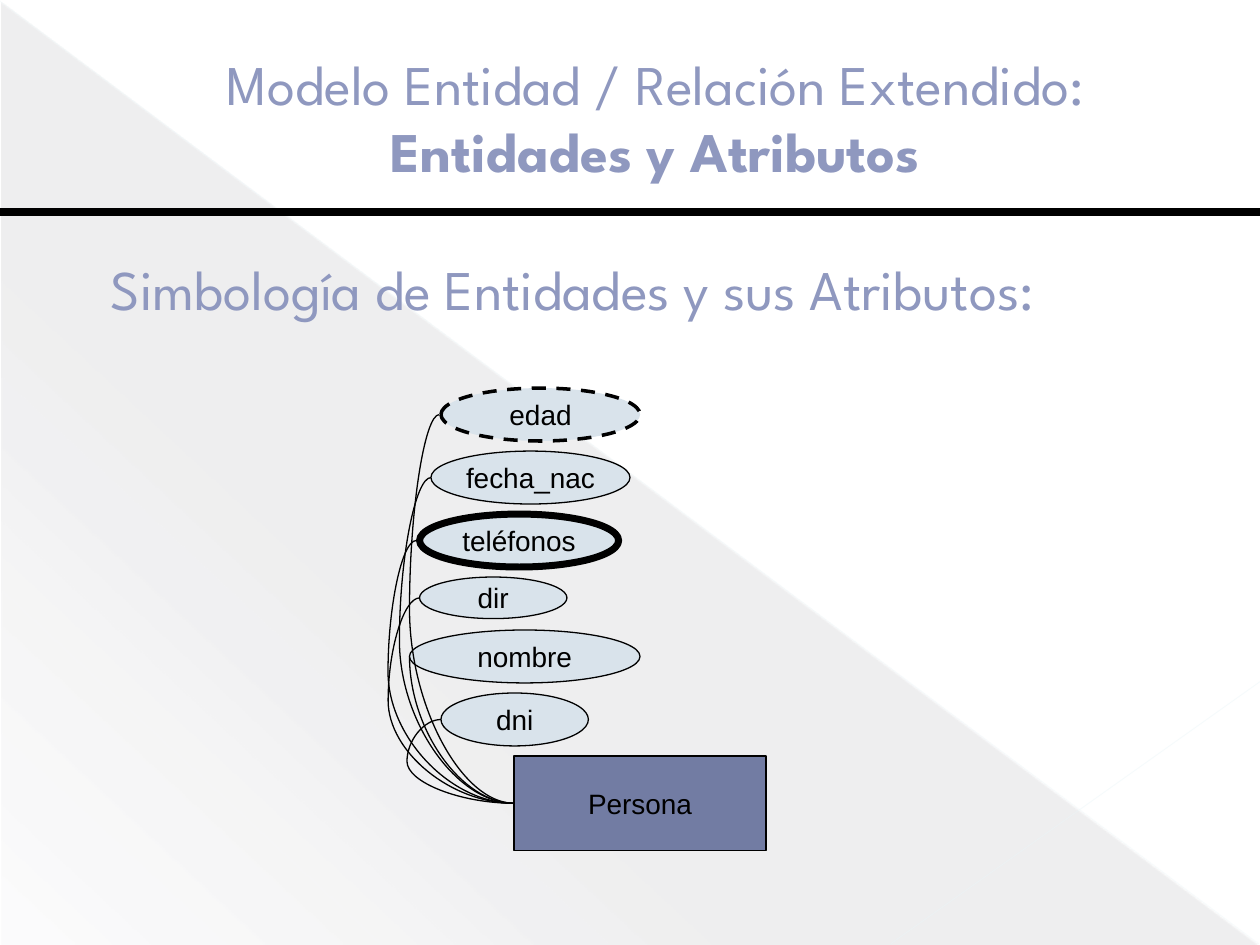
from dataclasses import dataclass

from lxml import etree
from pptx import Presentation
from pptx.dml.color import RGBColor
from pptx.enum.dml import MSO_LINE
from pptx.enum.shapes import MSO_CONNECTOR, MSO_SHAPE
from pptx.enum.text import MSO_ANCHOR, PP_ALIGN
from pptx.oxml.ns import qn
from pptx.util import Inches, Pt

DASH = MSO_LINE.DASH
OVAL, RECT, TRIANGLE = MSO_SHAPE.OVAL, MSO_SHAPE.RECTANGLE, MSO_SHAPE.RIGHT_TRIANGLE
STRAIGHT, CURVE = MSO_CONNECTOR.STRAIGHT, MSO_CONNECTOR.CURVE
CENTER, LEFT = PP_ALIGN.CENTER, PP_ALIGN.LEFT
MIDDLE = MSO_ANCHOR.MIDDLE


@dataclass(frozen=True)
class Theme:
    title: str = "8F98BF"
    title_edge: str = "4F5671"
    ink: str = "000000"
    attribute: str = "D9E3EB"
    entity: str = "727CA3"
    shade: str = "464653"
    diagonal: str = "E9F6F9"
    corner: str = "EBF6F9"
    title_font: str = "League Spartan"
    label_font: str = "Arial"
    title_size: int = 32
    label_size: int = 16
    thin: float = 0.75


T = Theme()
ENTITY = (4.08, 6, 2, 0.75)
# name, left, top, width, height, x where its curve turns, line width, dash
ATTRIBUTES = [
    ("dni", 3.5, 5.5, 1.17, 0.42, 3.23, T.thin, None),
    ("nombre", 3.25, 5, 1.83, 0.42, None, T.thin, None),
    ("dir", 3.33, 4.58, 1.17, 0.33, 3.08, T.thin, None),
    ("teléfonos", 3.33, 4.08, 1.58, 0.42, 3.08, 4, None),
    ("fecha_nac", 3.42, 3.58, 1.58, 0.42, 3.17, T.thin, None),
    ("edad", 3.5, 3.08, 1.58, 0.42, 3.25, 2, DASH),
]


def rgb(color):
    return RGBColor.from_string(color)


def add_color(parent, color, alpha=100):
    clr = etree.SubElement(parent, qn("a:srgbClr"), val=color)
    etree.SubElement(clr, qn("a:alpha"), val=str(alpha * 1000))


def add_line(s, start, end, color, width, alpha=100, kind=STRAIGHT):
    points = [Inches(v) for v in (*start, *end)]
    line = s.shapes.add_connector(kind, *points)
    line.line.color.rgb = rgb(color)
    line.line.width = Pt(width)
    sp_pr = line._element.spPr
    if alpha < 100:
        clr = sp_pr.find(".//" + qn("a:srgbClr"))
        etree.SubElement(clr, qn("a:alpha"), val=str(alpha * 1000))
    etree.SubElement(sp_pr, qn("a:effectLst"))
    return line


def add_curve(s, start, end, turn):
    """Curve leaving start leftwards; turn is the x of its bulge, None for a quarter bend."""
    # Drawn from end to start, then turned half way round
    sp_pr = add_line(s, end, start, T.ink, T.thin, kind=CURVE)._element.spPr
    sp_pr.find(qn("a:xfrm")).set("rot", str(180 * 60000))
    geom = sp_pr.find(qn("a:prstGeom"))
    if turn is None:
        geom.set("prst", "curvedConnector2")
        return
    bulge = round((start[0] - turn) / (start[0] - end[0]) * 100000)
    etree.SubElement(geom.find(qn("a:avLst")), qn("a:gd"),
                     name="adj1", fmla=f"val {bulge}")


def add_background(s):
    sp = s.shapes.add_shape(TRIANGLE, *map(Inches, (0.01, 0.02, 9.98, 7.48)))
    sp.shadow.inherit = False
    sp.line.fill.background()
    grad = etree.Element(qn("a:gradFill"))
    stops = etree.SubElement(grad, qn("a:gsLst"))
    for pos, alpha in ((0, 10), (70, 8), (100, 1)):
        stop = etree.SubElement(stops, qn("a:gs"), pos=str(pos * 1000))
        add_color(stop, T.shade, alpha)
    etree.SubElement(grad, qn("a:lin"), ang=str(133 * 60000), scaled="0")
    sp._element.spPr.find(qn("a:prstGeom")).addnext(grad)

    add_line(s, (0, 0.01), (9.99, 7.49), T.diagonal, 0.39, 35)
    add_line(s, (10, 5.41), (7.07, 7.49), T.corner, 0.47, 45)
    add_line(s, (0, 1.68), (10, 1.68), T.ink, 4.5)


def add_run(p, text, font, size, color, bold=None):
    r = p.add_run()
    r.text = text
    r.font.name, r.font.size, r.font.bold = font, Pt(size), bold
    r.font.color.rgb = rgb(color)
    return r


def add_heading(s, box, lines, align, indent=0):
    """Outlined heading; lines are (text, bold) pairs."""
    tf = s.shapes.add_textbox(*map(Inches, box)).text_frame
    tf.word_wrap = True
    tf.vertical_anchor = MIDDLE
    p = tf.paragraphs[0]
    p.alignment = align
    if indent:
        p_pr = p._p.get_or_add_pPr()
        p_pr.set("marL", str(Inches(indent)))
        p_pr.set("indent", "0")
    for i, (text, bold) in enumerate(lines):
        if i:
            p.add_line_break()
        r = add_run(p, text, T.title_font, T.title_size, T.title, bold)
        edge = etree.Element(qn("a:ln"), w=str(Pt(0.5)))
        add_color(etree.SubElement(edge, qn("a:solidFill")), T.title_edge)
        r._r.get_or_add_rPr().insert(0, edge)


def add_node(s, kind, box, text, fill, width=T.thin, dash=None):
    sp = s.shapes.add_shape(kind, *map(Inches, box))
    sp.shadow.inherit = False
    sp.fill.solid()
    sp.fill.fore_color.rgb = rgb(fill)
    sp.line.color.rgb = rgb(T.ink)
    sp.line.width = Pt(width)
    if dash:
        sp.line.dash_style = dash
    tf = sp.text_frame
    tf.word_wrap = False
    tf.vertical_anchor = MIDDLE
    p = tf.paragraphs[0]
    p.alignment = CENTER
    add_run(p, text, T.label_font, T.label_size, T.ink)


def add_diagram(s):
    for name, *box, _, width, dash in ATTRIBUTES:
        add_node(s, OVAL, box, name, T.attribute, width, dash)
    add_node(s, RECT, ENTITY, "Persona", T.entity)

    # Every curve runs from the entity's left side to an attribute's left side
    start = (ENTITY[0], ENTITY[1] + ENTITY[3] / 2)
    for _, left, top, _, height, turn, width, _ in ATTRIBUTES:
        border = width / 144 if width > T.thin else 0
        add_curve(s, start, (left - border, top + height / 2), turn)


def main():
    prs = Presentation()
    prs.slide_width, prs.slide_height = Inches(10), Inches(7.5)
    s = prs.slides.add_slide(prs.slide_layouts[6])

    add_background(s)
    add_heading(s, (0.25, 1.83, 9.42, 0.92),
                [("Simbología de Entidades y sus Atributos:", None)], LEFT, 0.53)
    add_diagram(s)
    add_heading(s, (0.33, 0.3, 9.75, 1.25),
                [("Modelo Entidad / Relación Extendido:", None),
                 ("Entidades y Atributos", True)], CENTER)
    prs.save("out.pptx")


if __name__ == "__main__":
    main()
